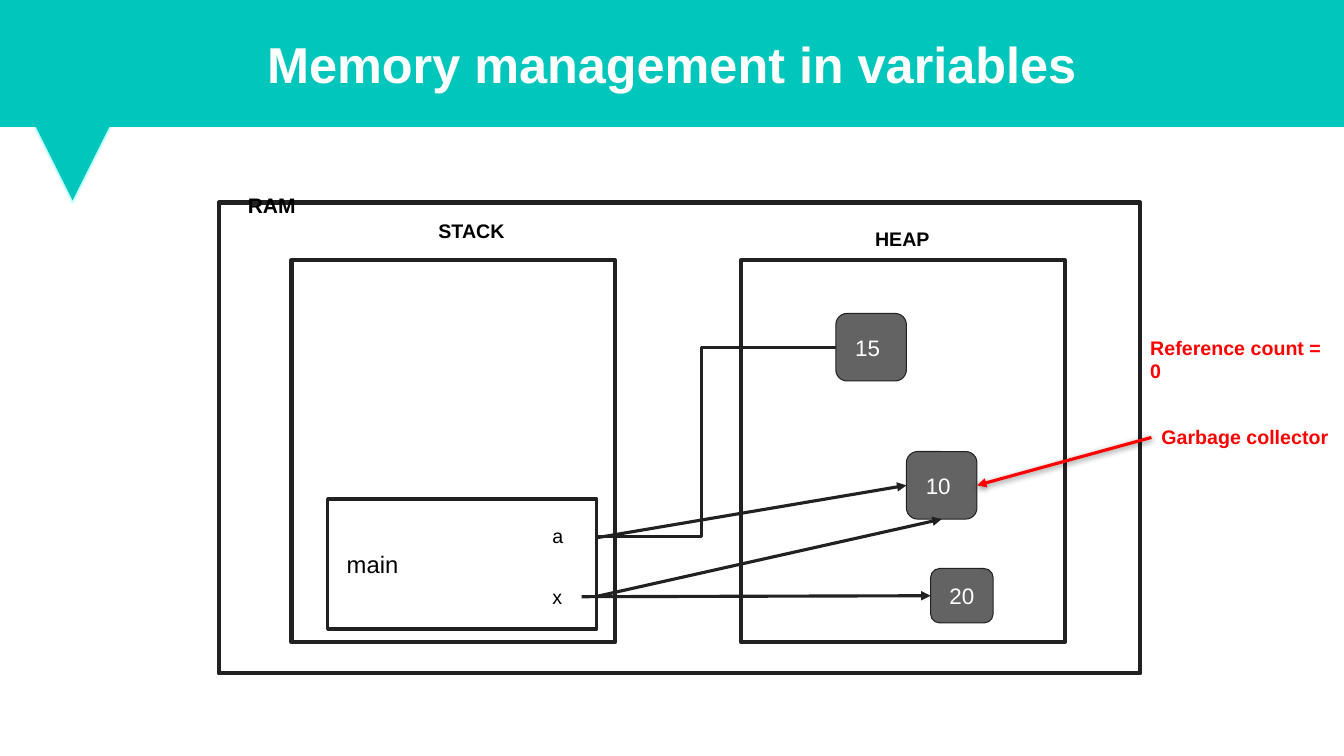
import pptx
import pptx.util
import pptx.dml.color
import pptx.enum.shapes
import pptx.enum.text
import pptx.oxml
import pptx.oxml.ns

Inches, Pt = pptx.util.Inches, pptx.util.Pt
KIND = pptx.enum.shapes.MSO_SHAPE
LINK = pptx.enum.shapes.MSO_CONNECTOR
ALIGN = pptx.enum.text.PP_ALIGN
ANCHOR = pptx.enum.text.MSO_ANCHOR

TEAL, INK, GREY, RED = "00C6BB", "212121", "636363", "FF0000"
WHITE, BLACK = "FFFFFF", "000000"

TITLE = "Memory management in variables"
AREAS = [
    (2.17, 2.01, 9.14, 4.67),
    (7.35, 2.58, 3.21, 3.79),
    (2.89, 2.58, 3.21, 3.79),
]
FRAME = (3.25, 4.95, 2.67, 1.29)
VALUES = {
    "10": (8.99, 4.48, 0.7, 0.67),
    "15": (8.29, 3.11, 0.7, 0.67),
    "20": (9.23, 5.64, 0.62, 0.54),
}
HEADS = [
    ("RAM", 2.36, 1.81, 0.8, 15, BLACK, True),
    ("STACK", 4.25, 2.07, 1, 14, BLACK, True),
    ("HEAP", 8.58, 2.15, 0.98, 14, BLACK, True),
]
NAMES = [
    ("main", 3.34, 5.35, 0.98, 17, BLACK, False),
    ("a", 5.38, 5.1, 0.4, 14, BLACK, False),
    ("x", 5.38, 5.7, 0.4, 14, BLACK, False),
]
NOTES = [
    ("Garbage collector", 11.42, 4.12, 1.9, 14, RED, True),
    ("Reference count = 0", 11.31, 3.23, 2.02, 14, RED, True),
]
LEFT, BOTTOM, RIGHT = 1, 2, 3

deck = pptx.Presentation()
deck.slide_width, deck.slide_height = Inches(13.33), Inches(7.5)
page = deck.slides.add_slide(deck.slide_layouts[6])
shapes = page.shapes


def color(code):
    return pptx.dml.color.RGBColor.from_string(code)


def write(box, text, size, ink, bold=False, inset=0.1):
    frame = box.text_frame
    frame.text = text
    frame.margin_left = Inches(inset)
    frame.margin_right = frame.margin_top = frame.margin_bottom = Inches(0.1)
    font = frame.paragraphs[0].runs[0].font
    font.name, font.size, font.bold = "Arial", Pt(size), bold
    font.color.rgb = color(ink)
    return frame


def block(kind, place, fill, line, width):
    box = shapes.add_shape(kind, *map(Inches, place))
    box.shadow.inherit = False
    box.fill.solid()
    box.fill.fore_color.rgb = color(fill)
    box.line.color.rgb = color(line)
    box.line.width = Pt(width)
    return box


def label(text, left, top, width, size, ink, bold):
    high = 0.2 + size * 0.017
    box = shapes.add_textbox(*map(Inches, (left, top, width, high)))
    write(box, text, size, ink, bold).word_wrap = False


def value(text):
    box = block(KIND.ROUNDED_RECTANGLE, VALUES[text], GREY, INK, 0.75)
    frame = write(box, text, 16, WHITE, inset=0.16)
    frame.vertical_anchor = ANCHOR.MIDDLE
    frame.paragraphs[0].alignment = ALIGN.LEFT
    return box


def add(parent, xml):
    space = pptx.oxml.ns.nsdecls("a")
    parent.append(pptx.oxml.parse_xml(xml.replace(" ", f" {space} ", 1)))


def link(kind, start, end, ink=INK, head=True):
    wire = shapes.add_connector(kind, *map(Inches, start + end))
    wire.line.color.rgb = color(ink)
    wire.line.width = Pt(2.25)
    if head:
        add(wire.line._get_or_add_ln(), '<a:tailEnd type="triangle"/>')
    shade = ""
    if ink == RED:
        shade = (
            f'<a:outerShdw blurRad="{Pt(4.5)}" dist="{Pt(1.5)}" dir="5400000">'
            '<a:srgbClr val="000000"><a:alpha val="50000"/></a:srgbClr>'
            "</a:outerShdw>"
        )
    add(wire._element.spPr, f"<a:effectLst >{shade}</a:effectLst>")
    return wire


def arrow(start, box, side, ink=INK):
    wire = link(LINK.STRAIGHT, start, start, ink)
    wire.end_connect(box, side)


mark = block(KIND.ISOSCELES_TRIANGLE, (0.1, 0.77, 1.24, 1.24), TEAL, "C0FEFB", 1.25)
mark.rotation = 180
band = block(KIND.RECTANGLE, (0, 0, 13.33, 1.25), TEAL, TEAL, 1.25)
frame = write(band, TITLE, 36, WHITE, True)
frame.vertical_anchor = ANCHOR.MIDDLE
frame.paragraphs[0].alignment = ALIGN.CENTER

for place in AREAS:
    block(KIND.RECTANGLE, place, WHITE, INK, 3)
ten, _ = value("10"), value("15")
arrow((5.77, 5.36), ten, LEFT)
arrow((5.77, 5.95), ten, BOTTOM)
for head in HEADS:
    label(*head)
link(LINK.ELBOW, (5.63, 5.32), (8.29, 3.45), head=False)

block(KIND.RECTANGLE, FRAME, WHITE, INK, 2.25)
for name in NAMES:
    label(*name)
arrow((5.77, 5.92), value("20"), LEFT)
for note in NOTES:
    label(*note)
arrow((11.42, 4.34), ten, RIGHT, RED)

deck.save("out.pptx")
